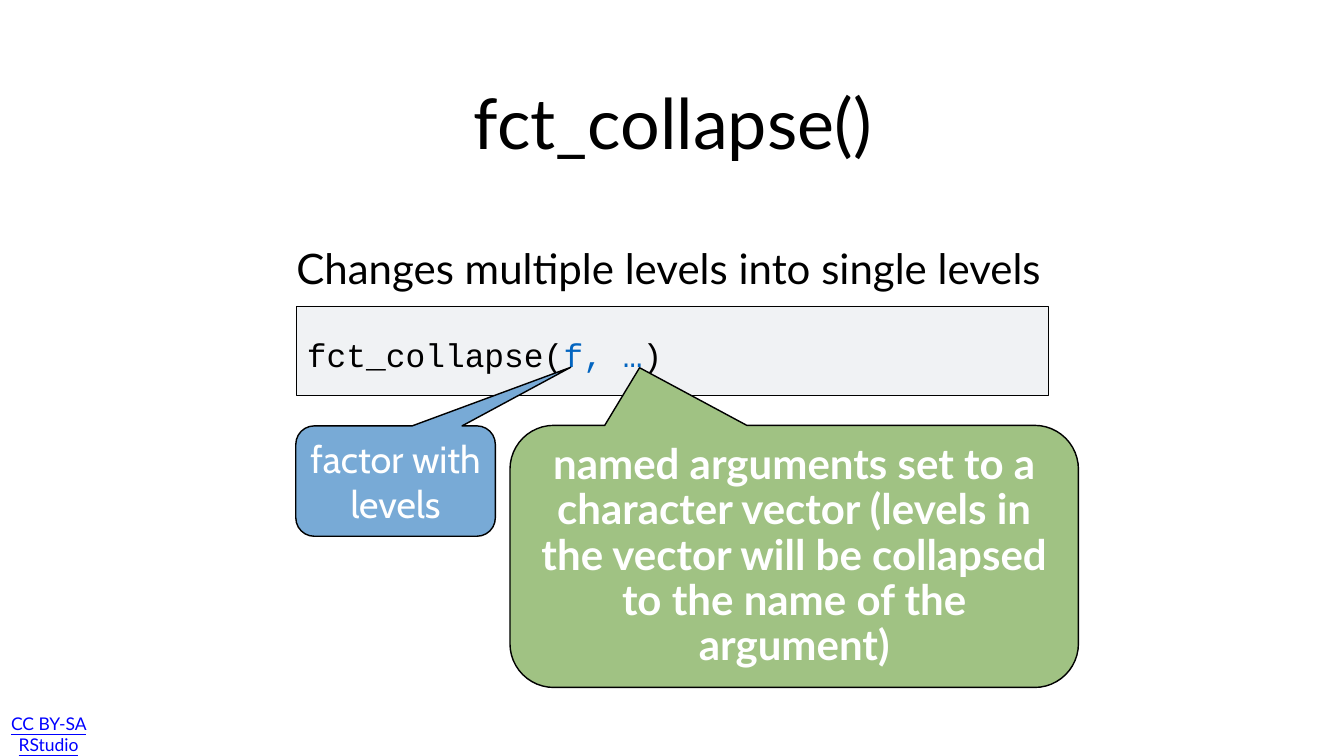
from pptx import Presentation
from pptx.dml.color import RGBColor
from pptx.enum.shapes import MSO_SHAPE
from pptx.enum.text import MSO_ANCHOR, MSO_AUTO_SIZE, PP_ALIGN
from pptx.oxml.ns import qn
from pptx.util import Inches, Pt


def color(code):
    return RGBColor.from_string(code)


def place(shape, left, top, width, height):
    shape.left, shape.top = Inches(left), Inches(top)
    shape.width, shape.height = Inches(width), Inches(height)


def style(run, size, face, tint, bold=False):
    font = run.font
    font.size, font.name, font.bold = Pt(size), face, bold
    font.color.rgb = color(tint)


def write(shape, text, size, face, tint, align=PP_ALIGN.CENTER,
          inset=0.06, bold=False):
    """Fill a shape with one paragraph, centred vertically."""
    frame = shape.text_frame
    frame.text = text
    frame.word_wrap = True
    frame.auto_size = MSO_AUTO_SIZE.NONE
    frame.vertical_anchor = MSO_ANCHOR.MIDDLE
    frame.margin_left = frame.margin_right = Inches(inset)
    frame.margin_top = frame.margin_bottom = Inches(inset)
    line = frame.paragraphs[0]
    line.alignment = align
    line.space_before = Pt(0)
    for run in line.runs:
        style(run, size, face, tint, bold)
    return line


def panel(slide, kind, box, fill, weight):
    shape = slide.shapes.add_shape(kind, *map(Inches, box))
    shape.shadow.inherit = False
    shape.fill.solid()
    shape.fill.fore_color.rgb = color(fill)
    shape.line.color.rgb = color("000000")
    shape.line.width = Pt(weight)
    return shape


def callout(slide, box, tip, fill, text, size, face, bold=False):
    """Rounded speech bubble; tip is its offset from the centre."""
    shape = panel(slide, MSO_SHAPE.ROUNDED_RECTANGULAR_CALLOUT, box, fill, 2)
    for index, value in enumerate((*tip, 0.167)):
        shape.adjustments[index] = value
    return write(shape, text, size, face, "FFFFFF", inset=0.08, bold=bold)


def code(slide, box, parts):
    """Code line made of (text, colour) parts."""
    shape = slide.shapes.add_textbox(*map(Inches, box))
    line = write(shape, "", 47, "Courier New", "000000", PP_ALIGN.LEFT)
    shape.text_frame.vertical_anchor = MSO_ANCHOR.TOP
    for text, tint in parts:
        run = line.add_run()
        run.text = text
        style(run, 47, "Courier New", tint)


def main():
    deck = Presentation()
    deck.slide_width, deck.slide_height = Inches(26.67), Inches(15)
    slide = deck.slides.add_slide(deck.slide_layouts[1])
    title, body = slide.placeholders

    # Licence line in the corner, kept to a narrow column
    note = slide.shapes.add_textbox(*map(Inches, (0.12, 14.26, 2.66, 0.6)))
    line = write(note, "CC BY-SA RStudio", 25, "Lato", "0000FF", inset=0.08)
    line.runs[0].font.underline = True
    note.text_frame.margin_right = Inches(1.05)

    # Title and description
    place(title, 4.4, 1.1, 17.9, 2.62)
    write(title, "fct_collapse()", 100, "Lato", "000000")
    place(body, 5.82, 4.06, 15.03, 2.5)
    line = write(body, "Changes multiple levels into single levels",
                 60, "Lato", "000000", PP_ALIGN.LEFT)
    props = line._p.get_or_add_pPr()
    props.set("marL", "0")
    props.set("indent", "0")
    props.append(props.makeelement(qn("a:buNone"), {}))

    # Code panel
    panel(slide, MSO_SHAPE.RECTANGLE, (5.88, 6.07, 14.92, 1.77), "F0F2F4", 1)
    code(slide, (6.03, 6.58, 14.7, 1.56),
         [("fct_collapse(", "000000"), ("f, …", "0365C0"), (")", "000000")])

    # Callouts explaining the arguments
    callout(slide, (5.87, 8.45, 3.96, 2.19), (0.878, -1.031), "78AAD6",
            "factor with levels", 54, "Cabin")
    line = callout(slide, (10.12, 8.44, 11.28, 5.2), (-0.272, -0.72), "A0C283",
                   "named arguments set to a character vector (levels in the "
                   "vector will be collapsed to the name of the argument)",
                   60, "Lato", bold=True)
    line.line_spacing = 0.9

    deck.save("out.pptx")


if __name__ == "__main__":
    main()
